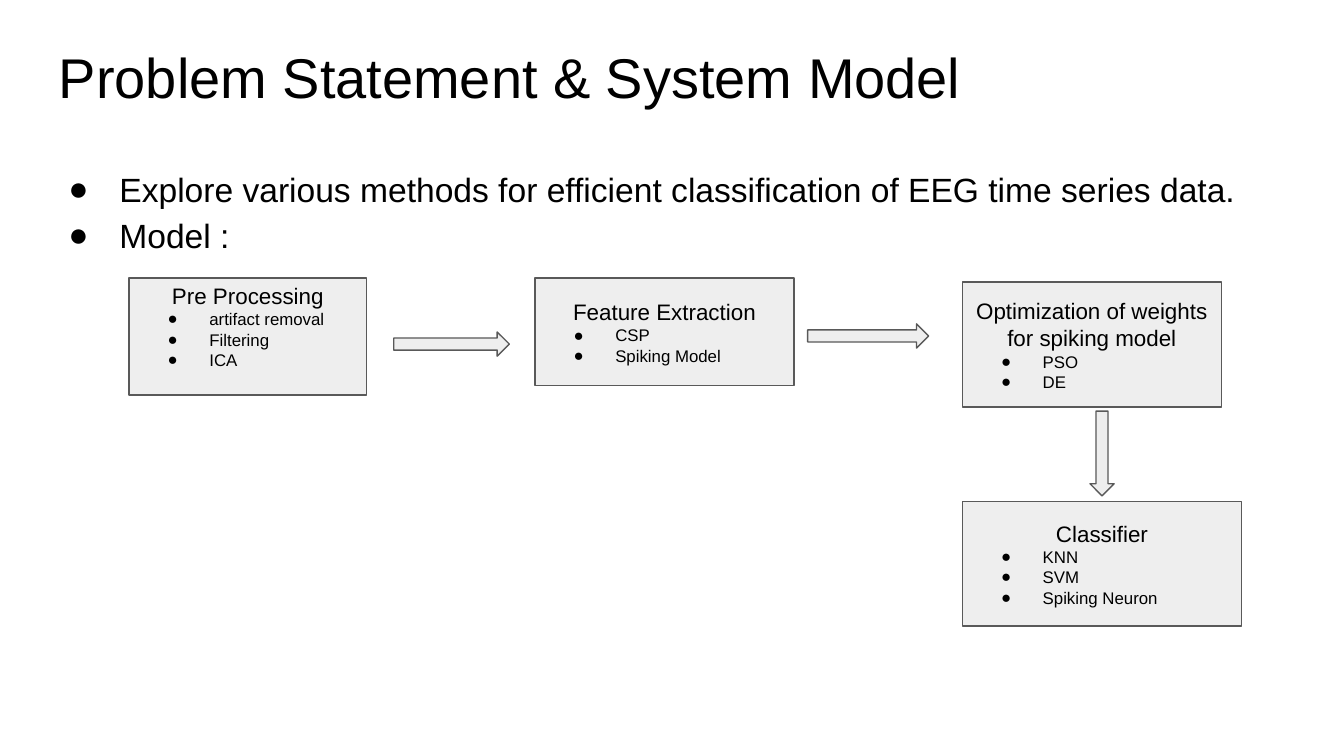
from pptx import Presentation, util as u
from pptx.dml.color import RGBColor
from pptx.enum import shapes, text
from pptx.oxml.ns import qn
from lxml import etree

WIDE = u.Inches(10)
HIGH = WIDE * 9 // 16
COL, ROW = WIDE / 100, HIGH / 56.25
INK, FILL, EDGE = "000000", "EEEEEE", "595959"
KIND = shapes.MSO_SHAPE
MID, TOP = text.MSO_ANCHOR.MIDDLE, text.MSO_ANCHOR.TOP


def tint(code):
    """Turn a hex string into a colour."""
    return RGBColor.from_string(code)


def place(box):
    """Turn a box in grid cells into slide lengths."""
    x, y, w, h = box
    return [round(n) for n in (x * COL, y * ROW, w * COL, h * ROW)]


def inner(box, part):
    """Shift a part by the corner of the box that holds it."""
    return box[0] + part[0], box[1] + part[1], part[2], part[3]


def frame(shape, anchor, top=0.1):
    """Set up wrapping, insets and anchor of a text frame."""
    body = shape.text_frame
    body.word_wrap, body.vertical_anchor = True, anchor
    body.margin_left = body.margin_right = body.margin_bottom = u.Inches(0.1)
    body.margin_top = u.Inches(top)
    return body


def write(para, words, size):
    """Add one run of text to a paragraph."""
    run = para.add_run()
    run.text = words
    run.font.name, run.font.size = "Arial", u.Pt(size)
    run.font.color.rgb = tint(INK)
    para.alignment = text.PP_ALIGN.LEFT


def bullet(para, hang):
    """Give a paragraph a round bullet and a hanging indent."""
    props = para._p.get_or_add_pPr()
    props.set("marL", str(u.Inches(0.5)))
    props.set("indent", str(-u.Inches(hang)))
    color = etree.SubElement(props, qn("a:buClr"))
    etree.SubElement(color, qn("a:srgbClr"), val=INK)
    etree.SubElement(props, qn("a:buFont"), typeface="Arial")
    etree.SubElement(props, qn("a:buChar"), char="●")


def title(slide, box, words):
    """Place the slide title."""
    body = frame(slide.shapes.add_textbox(*place(box)), TOP)
    write(body.paragraphs[0], words, 30)


def points(slide, box, items):
    """Place the main bullet list."""
    body = frame(slide.shapes.add_textbox(*place(box)), TOP)
    for i, words in enumerate(items):
        para = body.add_paragraph() if i else body.paragraphs[0]
        para.line_spacing = 1.15
        write(para, words, 18)
        bullet(para, 0.38)


def block(slide, kind, box):
    """Draw a grey outlined shape."""
    shape = slide.shapes.add_shape(kind, *place(box))
    shape.shadow.inherit = False
    shape.fill.solid()
    shape.fill.fore_color.rgb = tint(FILL)
    shape.line.color.rgb = tint(EDGE)
    shape.line.width = u.Pt(0.75)
    return shape


def card(slide, box, head, items, anchor=MID, top=0.1):
    """Draw one model stage with its heading and methods."""
    body = frame(block(slide, KIND.RECTANGLE, box), anchor, top)
    write(body.paragraphs[0], head, 12)
    body.paragraphs[0].alignment = text.PP_ALIGN.CENTER
    for words in items:
        para = body.add_paragraph()
        write(para, words, 9)
        bullet(para, 0.31)


def model(slide, box):
    """Draw the stages of the model and the arrows between them."""
    stages = [
        ((0, 0, 17.7, 8.7), "Pre Processing",
         ["artifact removal", "Filtering", "ICA"], TOP, 0.03),
        ((30.2, 0, 19.3, 8), "Feature Extraction", ["CSP", "Spiking Model"]),
        ((62, 0.3, 19.3, 9.3), "Optimization of weights for spiking model",
         ["PSO", "DE"]),
        ((62, 16.6, 20.8, 9.3), "Classifier", ["KNN", "SVM", "Spiking Neuron"]),
    ]
    arrows = [
        (KIND.RIGHT_ARROW, (50.5, 3.4, 9, 1.8)),
        (KIND.DOWN_ARROW, (71.5, 9.9, 1.8, 6.3)),
        (KIND.RIGHT_ARROW, (19.7, 4, 8.6, 1.8)),
    ]
    for part, *rest in stages:
        card(slide, inner(box, part), *rest)
    for kind, part in arrows:
        block(slide, kind, inner(box, part))


def main():
    """Build and save the slide."""
    deck = Presentation()
    deck.slide_width, deck.slide_height = WIDE, HIGH
    slide = deck.slides.add_slide(deck.slide_layouts[6])
    title(slide, (3.4, 2.2, 93.2, 6.3), "Problem Statement & System Model")
    points(slide, (2.9, 11.1, 93.2, 37.4), [
        "Explore various methods for efficient classification of EEG time series data.",
        "Model :",
    ])
    model(slide, (9.6, 20.7, 82.8, 25.9))
    deck.save("out.pptx")


if __name__ == "__main__":
    main()
